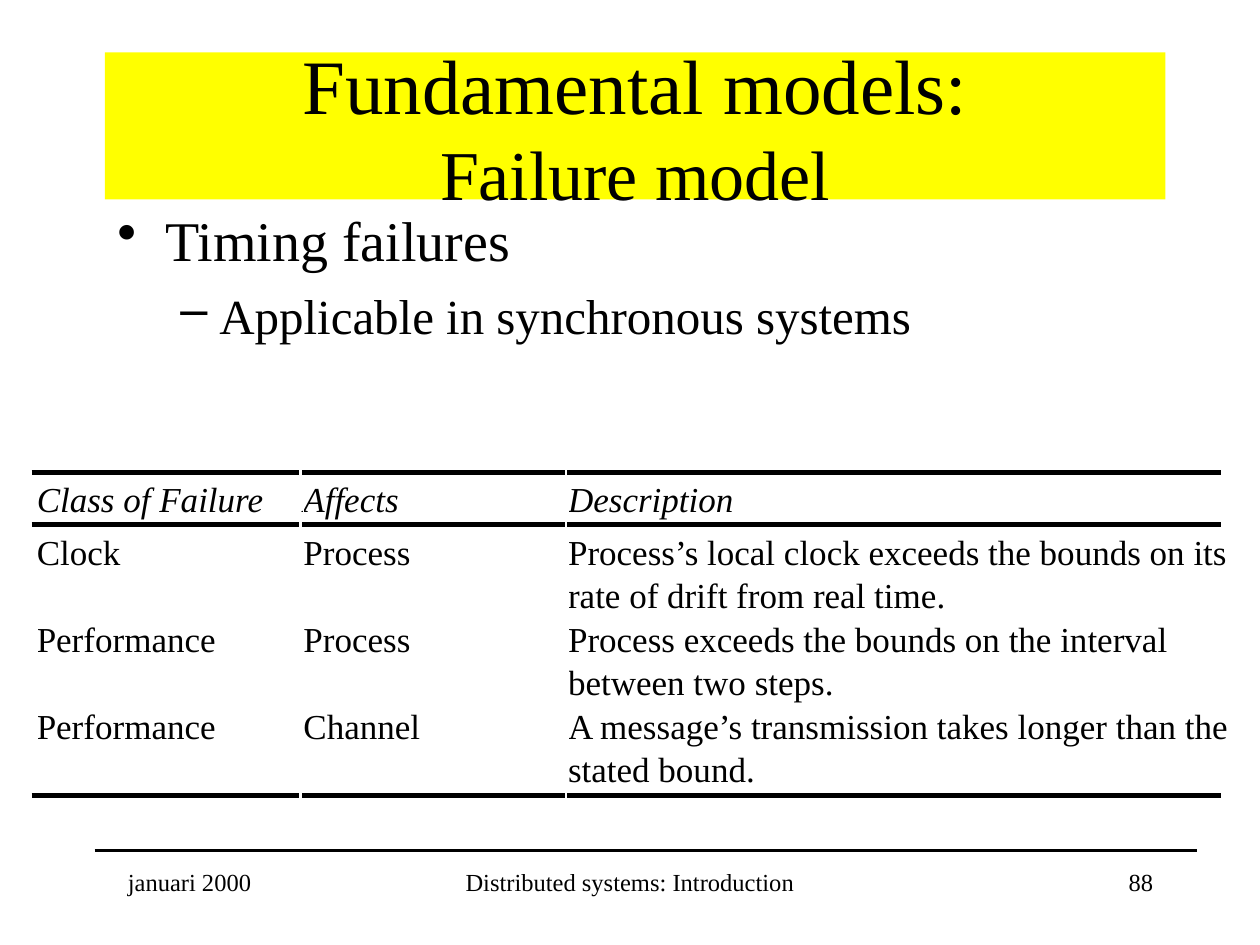
from pptx import Presentation
from pptx.dml.color import RGBColor
from pptx.enum.shapes import MSO_CONNECTOR as Connector, MSO_SHAPE as Shape
from pptx.enum.text import MSO_ANCHOR as Anchor, PP_ALIGN as Align
from pptx.oxml.ns import qn
from pptx.util import Inches, Pt
from lxml.etree import SubElement

BLACK, YELLOW = "000000", "FFFF00"
LEFT_MARGIN, CONTENT_WIDTH = 10, 101

HEADINGS = ["Class of Failure", "Affects", "Description"]
FAILURES = [
    ["Clock", "Process",
     "Process’s local clock exceeds the bounds on its rate of drift from real time."],
    ["Performance", "Process",
     "Process exceeds the bounds on the interval between two steps."],
    ["Performance", "Channel",
     "A message’s transmission takes longer than the stated bound."],
]
COLUMN_EDGES = [3.5, 28.9, 54.1, 118]
RULE_SPANS = [(3, 28.5), (28.8, 53.8), (54, 116.3)]
RULE_ROWS = [45, 50, 75.8]
HEADING_HEIGHT, FAILURE_HEIGHT = 5, 8.3


def grid(units):
    """Length on a grid of 120 columns by 90 rows, each 1/12 inch."""
    return Inches(units / 12)


def color(hex_string):
    return RGBColor.from_string(hex_string)


class SlideBuilder:
    """Holds the type style and the slide being filled."""

    def __init__(self, slide, font_name="Times New Roman", ink=BLACK):
        self.slide, self.font_name, self.ink = slide, font_name, ink

    def run(self, paragraph, text, size, italic=False):
        run = paragraph.add_run()
        run.text = text
        font = run.font
        font.name, font.size, font.italic = self.font_name, Pt(size), italic
        font.color.rgb = color(self.ink)

    def rule(self, left, right, row, weight):
        line = self.slide.shapes.add_connector(
            Connector.STRAIGHT, grid(left), grid(row), grid(right), grid(row))
        line.line.color.rgb = color(self.ink)
        line.line.width = Pt(weight)
        SubElement(line._element.spPr, qn("a:effectLst"))

    def title(self, left, top, width, height, lines, fill):
        """Centred banner; lines holds (text, size) pairs."""
        banner = self.slide.shapes.add_shape(
            Shape.RECTANGLE, grid(left), grid(top), grid(width), grid(height))
        banner.shadow.inherit = False
        banner.fill.solid()
        banner.fill.fore_color.rgb = color(fill)
        banner.line.fill.background()
        frame = banner.text_frame
        frame.word_wrap, frame.vertical_anchor = True, Anchor.MIDDLE
        paragraph = frame.paragraphs[0]
        paragraph.alignment = Align.CENTER
        for index, (text, size) in enumerate(lines):
            if index:
                paragraph.add_line_break()
            self.run(paragraph, text, size)

    def text_frame(self, left, top, width, height):
        frame = self.slide.shapes.add_textbox(
            grid(left), grid(top), grid(width), grid(height)).text_frame
        frame.word_wrap = True
        return frame

    def label(self, left, top, width, height, text, size, align):
        paragraph = self.text_frame(left, top, width, height).paragraphs[0]
        paragraph.alignment = align
        self.run(paragraph, text, size)

    def bullets(self, left, top, width, height, items):
        """items holds (text, size, level, mark, indent, hanging, space before)."""
        frame = self.text_frame(left, top, width, height)
        for index, (text, size, level, mark, indent, hanging, space) in enumerate(items):
            paragraph = frame.add_paragraph() if index else frame.paragraphs[0]
            paragraph.level = level
            if index:
                paragraph.space_before = Pt(space)
            properties = paragraph._p.get_or_add_pPr()
            properties.set("marL", str(Inches(indent)))
            properties.set("indent", str(-Inches(hanging)))
            SubElement(properties, qn("a:buChar")).set("char", mark)
            self.run(paragraph, text, size)

    def table(self, top, edges, heights, rows, size, line_spacing):
        """Plain table with an italic first row."""
        table = self.slide.shapes.add_table(
            len(rows), len(edges) - 1, grid(edges[0]), grid(top),
            grid(edges[-1] - edges[0]), grid(sum(heights))).table
        table.first_row = table.horz_banding = False
        for column, start, end in zip(table.columns, edges, edges[1:]):
            column.width = grid(end - start)
        for index, (row, height, texts) in enumerate(zip(table.rows, heights, rows)):
            row.height = grid(height)
            for cell, text in zip(row.cells, texts):
                cell.fill.background()
                cell.margin_left = cell.margin_right = 0
                cell.margin_top = cell.margin_bottom = 0
                paragraph = cell.text_frame.paragraphs[0]
                paragraph.line_spacing = Pt(line_spacing)
                self.run(paragraph, text, size, italic=index == 0)


def main():
    deck = Presentation()
    deck.slide_width, deck.slide_height = grid(120), grid(90)
    page = SlideBuilder(deck.slides.add_slide(deck.slide_layouts[6]))

    page.rule(9, 114, 81, 1.5)
    page.title(LEFT_MARGIN, 5, CONTENT_WIDTH, 14,
               [("Fundamental models:", 44), ("Failure model", 40)], YELLOW)
    page.bullets(LEFT_MARGIN, 19, CONTENT_WIDTH, 61, [
        ("Timing failures", 32, 0, "•", 0.38, 0.38, 0),
        ("Applicable in synchronous systems", 28, 1, "–", 0.81, 0.31, 7),
    ])

    page.table(45.4, COLUMN_EDGES, [HEADING_HEIGHT] + [FAILURE_HEIGHT] * len(FAILURES),
               [HEADINGS] + FAILURES, size=20, line_spacing=24.8)
    for row in RULE_ROWS:
        for left, right in RULE_SPANS:
            page.rule(left, right, row, 2.86)

    for left, width, text, align in [
        (41, 38, "Distributed systems: Introduction", Align.CENTER),
        (86, 25, "88", Align.RIGHT),
        (11, 25, "januari 2000", Align.LEFT),
    ]:
        page.label(left, 82, width, 6, text, 14, align)

    deck.save("out.pptx")


if __name__ == "__main__":
    main()
